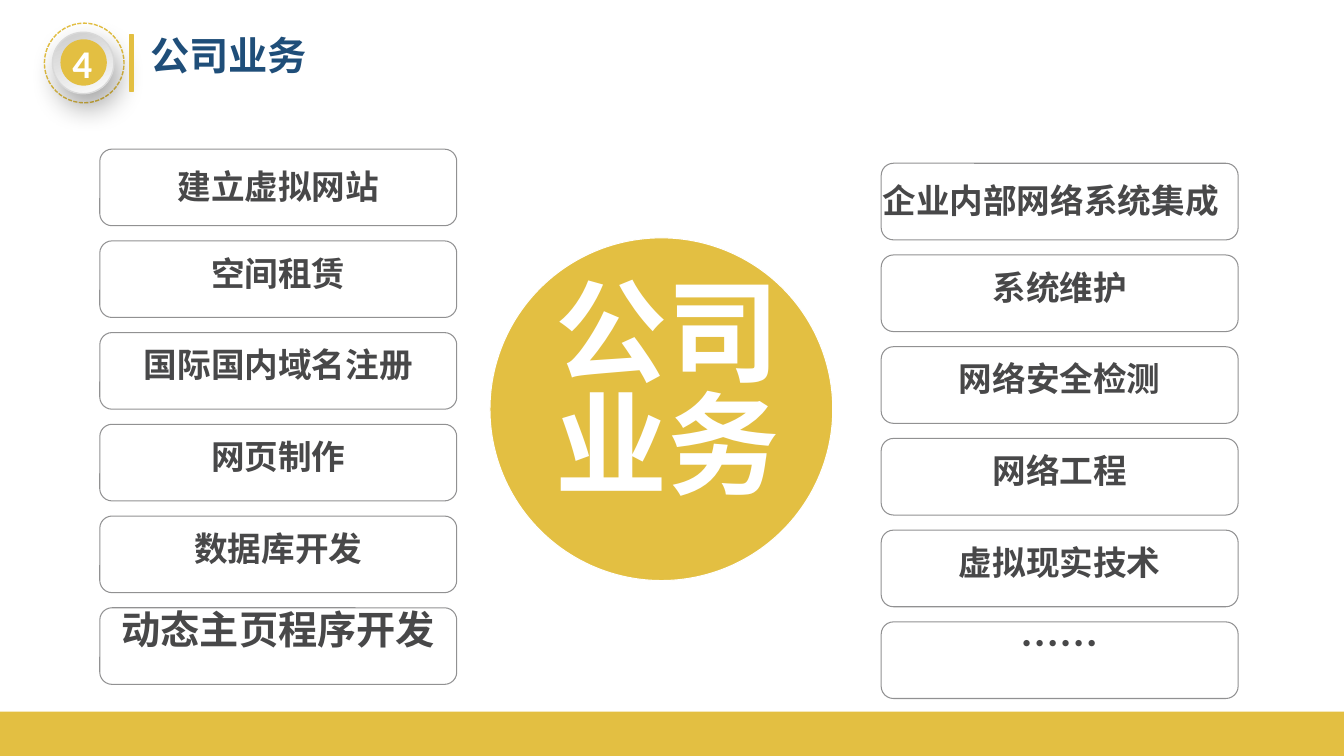
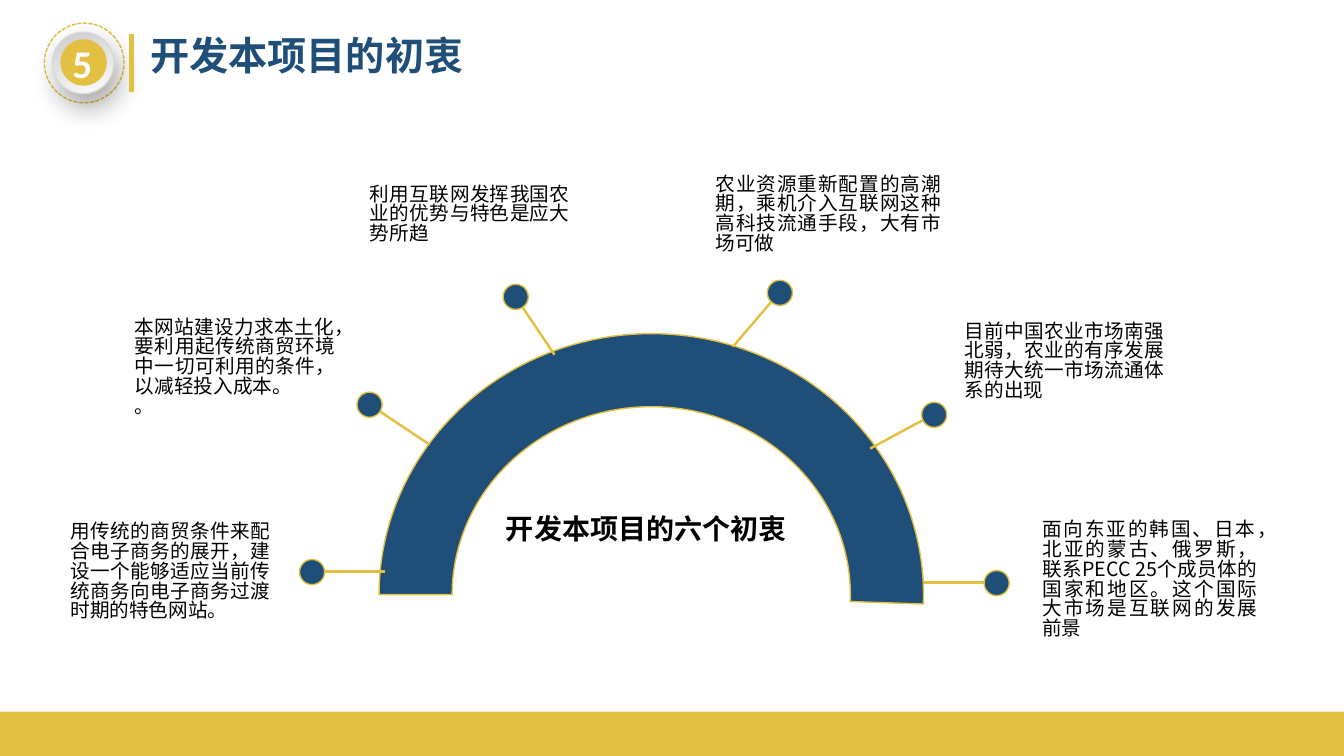
import pptx
import pptx.util
import pptx.dml.color
import pptx.enum.dml
import pptx.enum.shapes
import pptx.enum.text
import pptx.oxml
import pptx.oxml.ns
import lxml.etree

PX = 9144
WIDE, HIGH = 1333, 750
HUES = {
    "gold": "E3BF42", "navy": "1F4E79", "white": "FFFFFF", "black": "000000",
    "ink": "484849", "edge": "919192", "rim": "D9D9D9",
    "dim": "CCCCCC", "pale": "FCFCFC",
}
HAN = "Noto Sans CJK SC"
KIND = pptx.enum.shapes.MSO_SHAPE
ALIGN = pptx.enum.text.PP_ALIGN

LEFT = ["建立虚拟网站", "空间租赁", "国际国内域名注册", "网页制作", "数据库开发", "动态主页程序开发"]
RIGHT = ["企业内部网络系统集成", "系统维护", "网络安全检测", "网络工程", "虚拟现实技术", "……"]

SPOKES = [
    ((540, 247), (612, 247), (648, 181, 233, 151),
     "面向东亚的韩国、日本，北亚的蒙古、俄罗斯，联系PECC 25个成员体的国家和地区。这个国际大市场是互联网的发展前景"),
    ((487, 114), (550, 80), (571, -16, 218, 104),
     "目前中国农业市场南强北弱，农业的有序发展期待大统一市场流通体系的出现"),
    ((351, 13), (397, -41), (324, -162, 243, 104),
     "农业资源重新配置的高潮期，乘机介入互联网这种高科技流通手段，大有市场可做"),
    ((174, 21), (135, -37), (-19, -152, 218, 81),
     "利用互联网发挥我国农业的优势与特色是应大势所趋"),
    ((50, 110), (-10, 70), (-252, -20, 218, 128),
     "本网站建设力求本土化，要利用起传统商贸环境中一切可利用的条件，以减轻投入成本。\n。"),
    ((6, 236), (-67, 236), (-316, 183, 218, 128),
     "用传统的商贸条件来配合电子商务的展开，建设一个能够适应当前传统商务向电子商务过渡时期的特色网站。"),
]


def emu(*nums):
    return [pptx.util.Emu(round(n * PX)) for n in nums]


def rgb(hue):
    return pptx.dml.color.RGBColor.from_string(HUES[hue])


def shape(slide, kind, box, fill=None, line=None, width=1):
    item = slide.shapes.add_shape(kind, *emu(*box))
    item.shadow.inherit = False
    if fill:
        item.fill.solid()
        item.fill.fore_color.rgb = rgb(fill)
    else:
        item.fill.background()
    if line:
        item.line.color.rgb = rgb(line)
        item.line.width = pptx.util.Pt(width)
    else:
        item.line.fill.background()
    return item


def style(frame, words, size, hue, bold=True, align=ALIGN.LEFT, wrap=True, face=HAN):
    frame.text = words
    frame.word_wrap = wrap
    frame.auto_size = pptx.enum.text.MSO_AUTO_SIZE.NONE
    frame.vertical_anchor = pptx.enum.text.MSO_ANCHOR.TOP
    for para in frame.paragraphs:
        para.alignment = align
        para.space_before = pptx.util.Pt(0)
        if face == HAN:
            para.line_spacing = 0.84
        font = para.font
        font.size = pptx.util.Pt(size)
        font.bold = bold
        font.color.rgb = rgb(hue)
        font.name = face
        base = para._p.pPr.find(pptx.oxml.ns.qn("a:defRPr"))
        lxml.etree.SubElement(base, pptx.oxml.ns.qn("a:ea")).set("typeface", face)


def label(slide, box, words, size, hue, **opts):
    item = slide.shapes.add_textbox(*emu(*box))
    style(item.text_frame, words, size, hue, **opts)


def shade(item):
    glow = pptx.oxml.parse_xml(
        f'<a:outerShdw {pptx.oxml.ns.nsdecls("a")} blurRad="254000" dist="127000" '
        'dir="4200000" algn="tl" rotWithShape="0">'
        f'<a:srgbClr val="{HUES["black"]}"><a:alpha val="34000"/></a:srgbClr>'
        '</a:outerShdw>')
    item._element.spPr.find(pptx.oxml.ns.qn("a:effectLst")).append(glow)


def badge(slide, x, y, num):
    ring = shape(slide, KIND.OVAL, (x, y, 79, 79), line="gold")
    ring.line.dash_style = pptx.enum.dml.MSO_LINE.SQUARE_DOT
    disc = shape(slide, KIND.OVAL, (x + 8, y + 9, 61, 61), "dim", "rim")
    disc.fill.gradient()
    disc.fill.gradient_angle = 290
    for stop, hue, spot in zip(disc.fill.gradient_stops, ("dim", "pale"), (0, 1)):
        stop.color.rgb = rgb(hue)
        stop.position = spot
    shade(disc)
    shape(slide, KIND.OVAL, (x + 16, y + 16, 46, 46), "gold")
    label(slide, (x + 18, y + 11, 40, 57), str(num), 28, "white", wrap=False, face="Calibri")


def start(deck, num, words):
    slide = deck.slides.add_slide(deck.slide_layouts[5])
    shape(slide, KIND.RECTANGLE, (0, 706, WIDE, 44), "gold")
    badge(slide, 44, 23, num)
    shape(slide, KIND.RECTANGLE, (129, 34, 3, 57), "gold", "gold")
    title = slide.shapes.title
    title.left, title.top, title.width, title.height = emu(139, 34, 400, 57)
    style(title.text_frame, words, 28, "navy", wrap=False)
    return slide


def column(slide, x, y, names, pad=0):
    wide, high, step = 354, 76, 91
    last = len(names) - 1
    for row, name in enumerate(names):
        top = y + row * step
        card = shape(slide, KIND.ROUNDED_RECTANGLE, (x, top, wide, high), "white", "edge", 0)
        card.adjustments[0] = 0.16
        drop = {0: 18, last: 0}.get(row, 13)
        size = 28 if row == last else 24
        more = pad if row == 0 else 0
        label(slide, (x + 1 - more, top + drop, wide - 2 + more, 57),
              name, size, "ink", align=ALIGN.CENTER)


def hub(slide, x, y, size, words):
    shape(slide, KIND.OVAL, (x, y, size, size), "gold", "white", 0)
    label(slide, (x + 55, y + 40, 268, 279), words, 80, "white")


def spoke(slide, root, tip):
    link = slide.shapes.add_connector(
        pptx.enum.shapes.MSO_CONNECTOR.STRAIGHT, *emu(*root, *tip))
    link.line.color.rgb = rgb("gold")
    link.line.width = pptx.util.Pt(1.75)
    lxml.etree.SubElement(link._element.spPr, pptx.oxml.ns.qn("a:effectLst"))
    shape(slide, KIND.OVAL, (tip[0] - 12, tip[1] - 12, 25, 25), "navy", "gold")


def fan(slide, x, y, wide, high, words):
    arc = shape(slide, KIND.BLOCK_ARC, (x, y, wide, high), "navy", "gold")
    for spot, value in enumerate((108, 1.18, 0.14)):
        arc.adjustments[spot] = value
    for root, tip, box, note in SPOKES:
        spoke(slide, (x + root[0], y + root[1]), (x + tip[0], y + tip[1]))
        label(slide, (x + box[0], y + box[1], *box[2:]), note, 14, "black",
              bold=False, align=ALIGN.JUSTIFY)
    label(slide, (x + 116, y + 177, 301, 44), words, 20, "black", wrap=False)


def main():
    deck = pptx.Presentation()
    deck.slide_width, deck.slide_height = emu(WIDE, HIGH)

    work = start(deck, 4, "公司业务")
    column(work, 99, 148, LEFT)
    hub(work, 486, 236, 340, "公司业务")
    column(work, 874, 162, RIGHT, 18)

    goal = start(deck, 5, "开发本项目的初衷")
    fan(goal, 376, 331, 540, 518, "开发本项目的六个初衷")

    deck.save("out.pptx")


if __name__ == "__main__":
    main()
